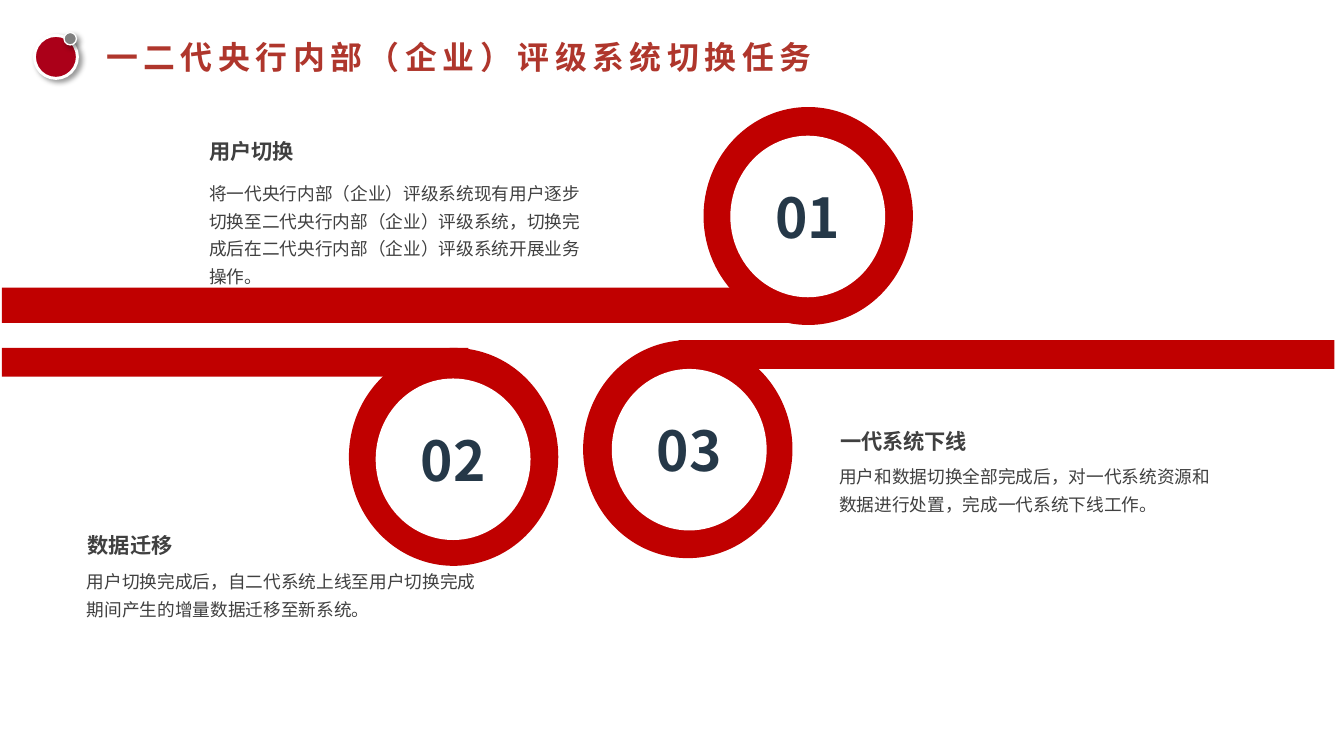
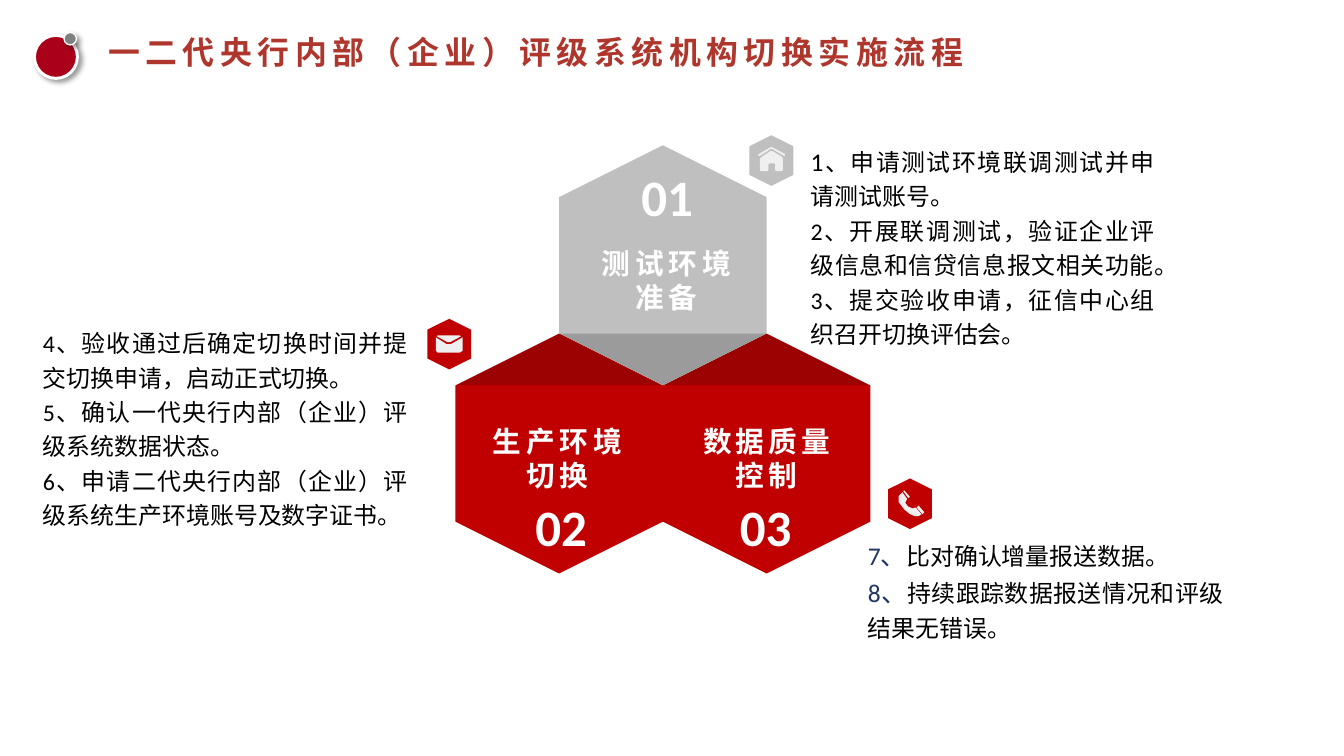
from lxml import etree
from pptx import Presentation
from pptx.dml.color import RGBColor
from pptx.enum.shapes import MSO_SHAPE
from pptx.enum.text import MSO_ANCHOR, PP_ALIGN
from pptx.oxml.ns import qn
from pptx.util import Inches, Pt

OVAL, RECT = MSO_SHAPE.OVAL, MSO_SHAPE.RECTANGLE
HEX, PEAK = MSO_SHAPE.HEXAGON, MSO_SHAPE.ISOSCELES_TRIANGLE
LEFT, MID, JUST = PP_ALIGN.LEFT, PP_ALIGN.CENTER, PP_ALIGN.JUSTIFY
CJK, LATIN, ARIAL = "Noto Sans CJK SC", "Calibri", "Arial"
RED, GREY, WHITE, BLACK = "C00000", "BFBFBF", "FFFFFF", "000000"
TITLE, WINE, STONE = "AF362C", "AB0019", "808080"
INK, SLATE, NAVY, PALE, SHADE = "404040", "253848", "1F3762", "F0EFEF", "0D0D0D"

CELL = Inches(0.1)  # side of one square grid cell
COLS, ROWS = 140.6, 79.1
paint = RGBColor.from_string


def draw(slide, kind, box, fill=None, turn=0):
    """Add a preset shape, or a text box if kind is None; box is in cells."""
    place = [round(n * CELL) for n in box]
    if kind is None:
        return slide.shapes.add_textbox(*place)
    shape = slide.shapes.add_shape(kind, *place)
    shape.shadow.inherit = False
    shape.fill.solid()
    shape.fill.fore_color.rgb = paint(fill)
    shape.line.fill.background()
    shape.rotation = turn
    return shape


def write(shape, paras, font=CJK, bold=False, align=LEFT, lead=1, track=0, pad=(1, 0.5)):
    """Fill a shape with paragraphs, each a list of (text, size, colour) runs."""
    frame = shape.text_frame
    frame.word_wrap = True
    frame.margin_left = frame.margin_right = round(pad[0] * CELL)
    frame.margin_top = frame.margin_bottom = round(pad[1] * CELL)
    for i, runs in enumerate(paras):
        para = frame.add_paragraph() if i else frame.paragraphs[0]
        para.alignment = align
        para.line_spacing = lead
        for text, size, hue in runs:
            run = para.add_run()
            run.text = text
            run.font.size = Pt(size)
            run.font.bold = bold
            run.font.color.rgb = paint(hue)
            run.font.name = font
            props = run.font._element
            props.set("lang", "zh-CN")
            if track:
                props.set("spc", str(round(track * 100)))
            east = etree.Element(qn("a:ea"), typeface=CJK)
            props.find(qn("a:latin")).addnext(east)


deck = Presentation()
deck.slide_width, deck.slide_height = round(COLS * CELL), round(ROWS * CELL)
blank = deck.slide_layouts[6]

# Shared title and badge
heads = [
    ("一二代央行内部（企业）评级系统切换任务", (11.1, 3.9, 81.5, 4)),
    ("一二代央行内部（企业）评级系统机构切换实施流程", (11.3, 3.4, 92.1, 4)),
]
dots = [((3.6, 3.7, 4.5, 4.5), WINE, 2.25), ((6.7, 3.4, 1.3, 1.3), STONE, 1)]
pages = []
for head, box in heads:
    page = deck.slides.add_slide(blank)
    pages.append(page)
    for spot, fill, edge in dots:
        dot = draw(page, OVAL, spot, fill)
        dot.line.color.rgb = paint(WHITE)
        dot.line.width = Pt(edge)
        glow = etree.SubElement(
            dot._element.spPr.find(qn("a:effectLst")), qn("a:outerShdw"),
            blurRad=str(Pt(4)), dist=str(Pt(3)), dir="2700000", algn="tl", rotWithShape="0")
        tint = etree.SubElement(glow, qn("a:srgbClr"), val=BLACK)
        etree.SubElement(tint, qn("a:alpha"), val="40000")
    write(draw(page, None, box), [[(head, 24, TITLE)]], bold=True, track=4.2, pad=(0, 0))
tasks, flow = pages

# Slide 1: bars that end in numbered rings
rings = [
    ("02", (0.2, 36.4, 48.8, 3), (36.5, 36.4), (39.3, 39.6)),
    ("01", (0.2, 30.1, 85.8, 3.7), (73.6, 11.2), (76.4, 14.2)),
    ("03", (71, 35.6, 68.6, 3), (61, 35.6), (64, 38.6)),
]
for num, bar, ring, hole in rings:
    draw(tasks, RECT, bar, RED)
    draw(tasks, OVAL, (*ring, 21.9, 22.8), RED)
    disc = draw(tasks, OVAL, (*hole, 16.2, 16.9), WHITE)
    disc.text_frame.vertical_anchor = MSO_ANCHOR.MIDDLE
    write(disc, [[(num, 41.4, SLATE)]], bold=True, align=MID)

notes = [
    ("用户切换", (20.9, 14), (20.9, 18, 42.6, 12.4),
     "将一代央行内部（企业）评级系统现有用户逐步切换至二代央行内部（企业）评级系统，"
     "切换完成后在二代央行内部（企业）评级系统开展业务操作。"),
    ("数据迁移", (8.2, 55.2), (8.1, 58.6, 43.3, 6.6),
     "用户切换完成后，自二代系统上线至用户切换完成期间产生的增量数据迁移至新系统。"),
    ("一代系统下线", (86.9, 44.3), (86.8, 47.6, 42.6, 6.6),
     "用户和数据切换全部完成后，对一代系统资源和数据进行处置，完成一代系统下线工作。"),
]
for name, spot, box, body in notes:
    write(draw(tasks, None, box), [[(body, 13.3, INK)]], lead=1.3)
    write(draw(tasks, None, (*spot, 22.5, 3.7)), [[(name, 16, INK)]], bold=True)

# Slide 2: icons, as outlines in hundredths of an inch around a centre
house = [
    [(1, -10), (-1, -10), (-10, -4), (-12, -2), (-12, 10), (-11, 11), (-4, 11), (-3, 10),
     (-3, 4), (-2, 3), (3, 3), (4, 4), (4, 10), (5, 11), (11, 11), (12, 10), (12, -2), (11, -4)],
    [(14, -5), (13, -5), (1, -12), (-1, -12), (-12, -5), (-14, -5), (-13, -7),
     (-1, -14), (1, -14), (14, -7)],
]
phone = [
    [(6, 4), (3, 5), (-2, 3), (-5, -1), (-3, -5), (-8, -12), (-12, -8), (-12, -2),
     (-6, 6), (0, 11), (5, 13), (9, 13), (12, 11)],
    [(15, 9), (13, 11), (7, 4), (9, 2)],
    [(0, -7), (-2, -6), (-7, -13), (-6, -14)],
]
mail = [
    [(1, -2), (12, -8), (11, -9), (-12, -9), (-13, -8), (-2, -2)],
    [(2, 0), (-3, 0), (-14, -7), (-14, 7), (-12, 9), (11, 9), (14, 7), (14, -7)],
]
icons = [(80.7, 16.8, GREY, house), (95.2, 52.7, RED, phone), (47, 36, RED, mail)]
for x, y, fill, parts in icons:
    draw(flow, HEX, (x - 2.65, y - 2.3, 5.3, 4.6), fill, 270)
    for pts in parts:
        pen = flow.shapes.build_freeform(*pts[0], scale=CELL / 10)
        pen.add_line_segments(pts[1:], close=True)
        part = pen.convert_to_shape(round(x * CELL), round(y * CELL))
        part.shadow.inherit = False
        part.fill.solid()
        part.fill.fore_color.rgb = paint(PALE)
        part.line.fill.background()

# Three hexagons, each with a shaded tip where they meet
LONG, WIDE, TIP = 25.1, 21.7, 5.4
MEET, AXIS = 34.9, 69.35
tiles = [
    (AXIS + WIDE / 2, MEET + LONG / 2, RED, 0),
    (AXIS - WIDE / 2, MEET + LONG / 2, RED, 0),
    (AXIS, MEET + TIP - LONG / 2, GREY, 180),
]
for x, y, fill, turn in tiles:
    draw(flow, HEX, (x - LONG / 2, y - WIDE / 2, LONG, WIDE), fill, 270)
    tip = draw(flow, PEAK, (x - WIDE / 2, MEET, WIDE, TIP), SHADE, turn)
    tint = tip.fill._xPr.find(qn("a:solidFill"))[0]
    etree.SubElement(tint, qn("a:alpha"), val="20000")

SLIM = (0.9, 0.4)
labels = [
    ("01", (59.8, 16.9), ("测试环境", "准备"), (59.7, 25.3), LATIN, 3.6),
    ("02", (48.7, 51.4), ("生产环境", "切换"), (48.3, 43.9), LATIN, 3.6),
    ("03", (70.1, 51.4), ("数据质量", "控制"), (70.2, 43.9), ARIAL, 3),
]
for num, top, lines, spot, font, track in labels:
    write(draw(flow, None, (*top, 20, 7.4)), [[(num, 38.4, WHITE)]], LATIN, True, MID, pad=SLIM)
    write(draw(flow, None, (*spot, 20, 8.2)), [[(line, 21.6, WHITE)] for line in lines],
          font, True, MID, track=track, pad=SLIM)

steps = [
    ((83.9, 14.2, 37.8, 22.9), [
        [("1", 19.2, BLACK), ("、申请测试环境联调测试并申请测试账号。", 18, BLACK)],
        [("2、开展联调测试，验证企业评级信息和信贷信息报文相关功能。", 18, BLACK)],
        [("3、提交验收申请，征信中心组织召开切换评估会。", 18, BLACK)],
    ]),
    ((3.6, 33.4, 40, 22.7), [
        [("4、验收通过后确定切换时间并提交切换申请，启动正式切换。", 18, BLACK)],
        [("5、确认一代央行内部（企业）评级系统数据状态。", 18, BLACK)],
        [("6、申请二代央行内部（企业）评级系统生产环境账号及数字证书。", 18, BLACK)],
    ]),
    ((89.9, 55.5, 39, 12.3), [
        [("7、", 19.2, NAVY), ("比对确认增量报送数据。", 18, BLACK)],
        [("8、", 19.2, NAVY), ("持续跟踪数据报送情况和评级结果无错误。", 18, BLACK)],
    ]),
]
for box, paras in steps:
    write(draw(flow, None, box), paras, LATIN, align=JUST, lead=1.2, pad=SLIM)

deck.save("out.pptx")
